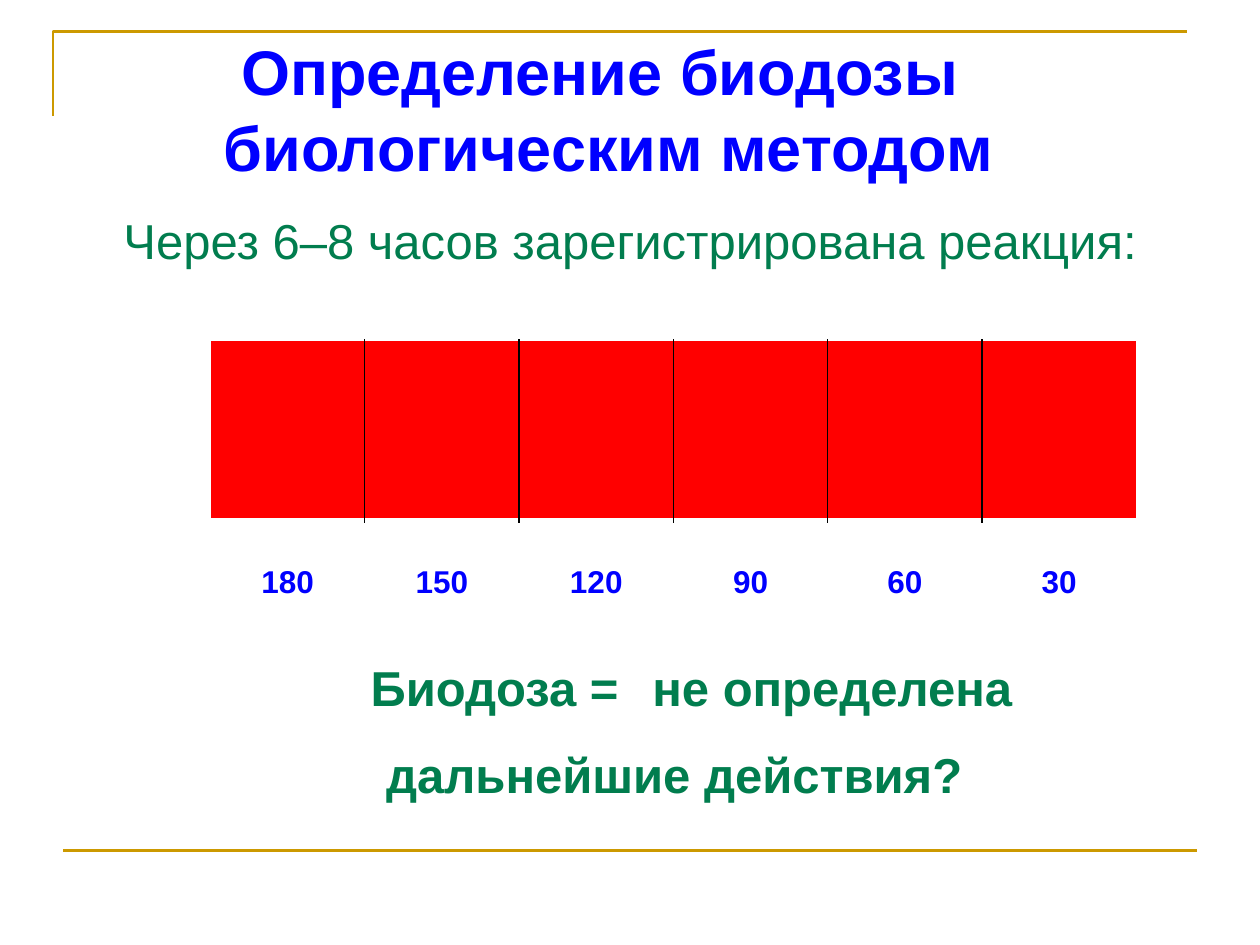
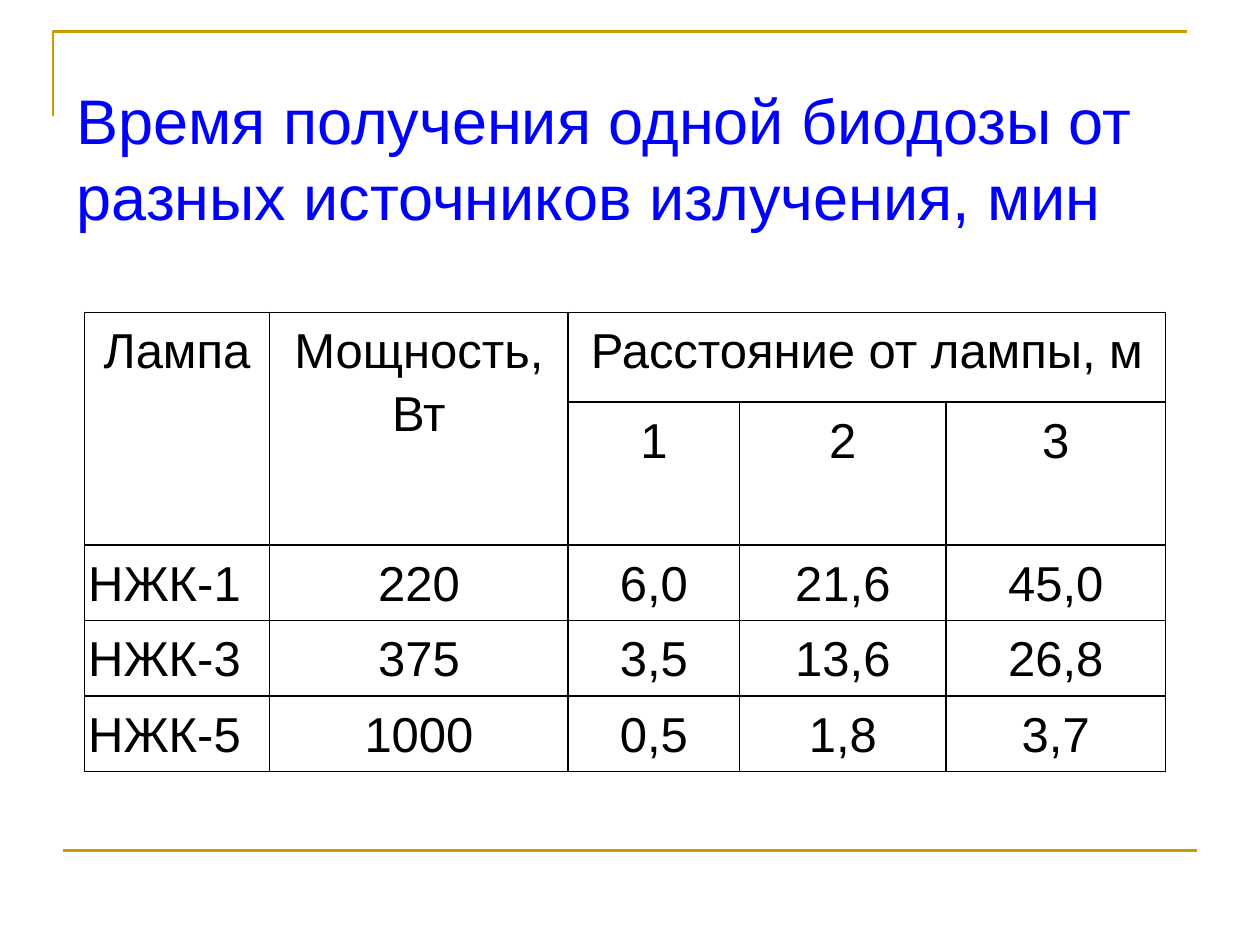
from dataclasses import dataclass

from lxml import etree
from pptx import Presentation
from pptx.dml.color import RGBColor
from pptx.enum.shapes import MSO_CONNECTOR
from pptx.enum.text import PP_ALIGN
from pptx.oxml.ns import qn
from pptx.util import Inches, Pt

LEFT, CENTER = PP_ALIGN.LEFT, PP_ALIGN.CENTER
STRAIGHT = MSO_CONNECTOR.STRAIGHT


@dataclass(frozen=True)
class Theme:
    font: str = "Arial"
    gold: str = "CC9900"
    blue: str = "0000FF"
    green: str = "017D4E"
    red: str = "FF0000"
    black: str = "000000"
    white: str = "FFFFFF"
    title: int = 36
    body: int = 28
    label: int = 18
    rule: float = 1.5


theme = Theme()

deck = Presentation()
deck.slide_width, deck.slide_height = Inches(10), Inches(7.5)
COL, ROW = deck.slide_width / 100, deck.slide_height / 100


def grid(across, down, *size):
    """Turn shares of the slide, in percent, into lengths."""
    units = (COL, ROW, COL, ROW)
    return [round(share * unit) for share, unit in zip((across, down, *size), units)]


def write(frame, text, size, colour, bold=False, align=CENTER):
    """Put one styled paragraph into a text frame."""
    frame.word_wrap = True
    paragraph = frame.paragraphs[0]
    paragraph.text = text
    paragraph.alignment = align
    for run in paragraph.runs:
        run.font.name = theme.font
        run.font.size = Pt(size)
        run.font.bold = bold
        run.font.color.rgb = RGBColor.from_string(colour)
    return paragraph


# Shared frame: corner line at the top, rule at the bottom
blank = deck.slide_layouts[6]
reaction_slide, times_slide = slides = [deck.slides.add_slide(blank) for _ in range(2)]
for slide in slides:
    outline = slide.shapes.build_freeform(*grid(4.2, 12.27))
    outline.add_line_segments([grid(4.2, 3.33), grid(94.2, 3.33)], close=False)
    corner = outline.convert_to_shape()
    corner.fill.background()
    corner.shadow.inherit = False
    footer_rule = slide.shapes.add_connector(STRAIGHT, *grid(5, 90), *grid(95, 90))
    etree.SubElement(footer_rule._element.spPr, qn("a:effectLst"))
    for mark in (corner, footer_rule):
        mark.line.color.rgb = RGBColor.from_string(theme.gold)
        mark.line.width = Pt(theme.rule)

# Titles and statements
statements = [
    (reaction_slide, (3.3, 2.8, 90, 17.47), "Определение биодозы \vбиологическим методом",
     theme.title, theme.blue, True, CENTER),
    (reaction_slide, (5.1, 21.6, 89.8, 7.6), "Через 6–8 часов зарегистрирована реакция:",
     theme.body, theme.green, False, CENTER),
    (reaction_slide, (18.6, 68.93, 42.4, 7.6), "Биодоза = ",
     theme.body, theme.green, True, CENTER),
    (reaction_slide, (50.8, 68.93, 49.2, 7.6), "не определена",
     theme.body, theme.green, True, LEFT),
    (reaction_slide, (16.9, 78.13, 73.2, 7.6), "дальнейшие действия?",
     theme.body, theme.green, True, CENTER),
    (times_slide, (5.1, 8, 89.8, 17.47),
     "Время получения одной биодозы от разных источников излучения, мин",
     theme.title, theme.blue, False, LEFT),
]
for slide, area, text, size, colour, bold, align in statements:
    box = slide.shapes.add_textbox(*grid(*area))
    write(box.text_frame, text, size, colour, bold, align)

# Skin reaction strip and its exposure times
exposures = ["180", "150", "120", "90", "60", "30"]
strip = reaction_slide.shapes.add_table(1, len(exposures), *grid(16.7, 36, 73.5, 19.07)).table
scale = reaction_slide.shapes.add_table(1, len(exposures), *grid(16.7, 59.07, 73.5, 5.33)).table
for cell, seconds in zip(scale.iter_cells(), exposures):
    write(cell.text_frame, seconds, theme.label, theme.blue, True)

# Exposure time by lamp and distance
lamp_rows = [
    ["Лампа", "Мощность, Вт", "Расстояние от лампы, м", "", ""],
    ["", "", "1", "2", "3"],
    ["НЖК-1", "220", "6,0", "21,6", "45,0"],
    ["НЖК-3", "375", "3,5", "13,6", "26,8"],
    ["НЖК-5", "1000", "0,5", "1,8", "3,7"],
]
lamp_columns = [14.7, 23.7, 13.6, 16.4, 17.4]
lamp_heights = [9.47, 8, 8, 8, 8]
lamps = times_slide.shapes.add_table(
    len(lamp_rows), len(lamp_columns),
    *grid(6.7, 33.07, sum(lamp_columns), sum(lamp_heights))).table
for column, share in zip(lamps.columns, lamp_columns):
    column.width = round(share * COL)
for row, share in zip(lamps.rows, lamp_heights):
    row.height = round(share * ROW)
for first, last in (((0, 0), (1, 0)), ((0, 1), (1, 1)), ((0, 2), (0, 4))):
    lamps.cell(*first).merge(lamps.cell(*last))
for r, values in enumerate(lamp_rows):
    for c, value in enumerate(values):
        cell = lamps.cell(r, c)
        cell.margin_left = cell.margin_right = Inches(0.03)
        cell.margin_top = cell.margin_bottom = Inches(0.03)
        if value:
            align = LEFT if c == 0 and r > 1 else CENTER
            entry = write(cell.text_frame, value, theme.body, theme.black, align=align)
            entry.line_spacing = 1.15
            entry.space_after = Pt(10)

# Fills and borders: outer sides, inner dividers, bottom width
table_looks = [
    (strip, theme.red, theme.white, theme.black, 3),
    (scale, None, theme.white, theme.white, 3),
    (lamps, theme.white, theme.black, theme.black, 1),
]
for table, fill, edge, divider, bottom_width in table_looks:
    table.first_row = table.horz_banding = False
    last_column = len(table.columns) - 1
    for index, cell in enumerate(table.iter_cells()):
        c = index % (last_column + 1)
        sides = {
            "L": (edge if c == 0 else divider, 1),
            "R": (edge if c == last_column else divider, 1),
            "T": (edge, 1),
            "B": (edge, bottom_width),
        }
        properties = cell._tc.get_or_add_tcPr()
        for side, (colour, width) in sides.items():
            border = etree.SubElement(properties, qn(f"a:ln{side}"), w=str(Pt(width)))
            paint = etree.SubElement(border, qn("a:solidFill"))
            etree.SubElement(paint, qn("a:srgbClr"), val=colour)
        if fill:
            cell.fill.solid()
            cell.fill.fore_color.rgb = RGBColor.from_string(fill)
        else:
            cell.fill.background()

deck.save("out.pptx")
